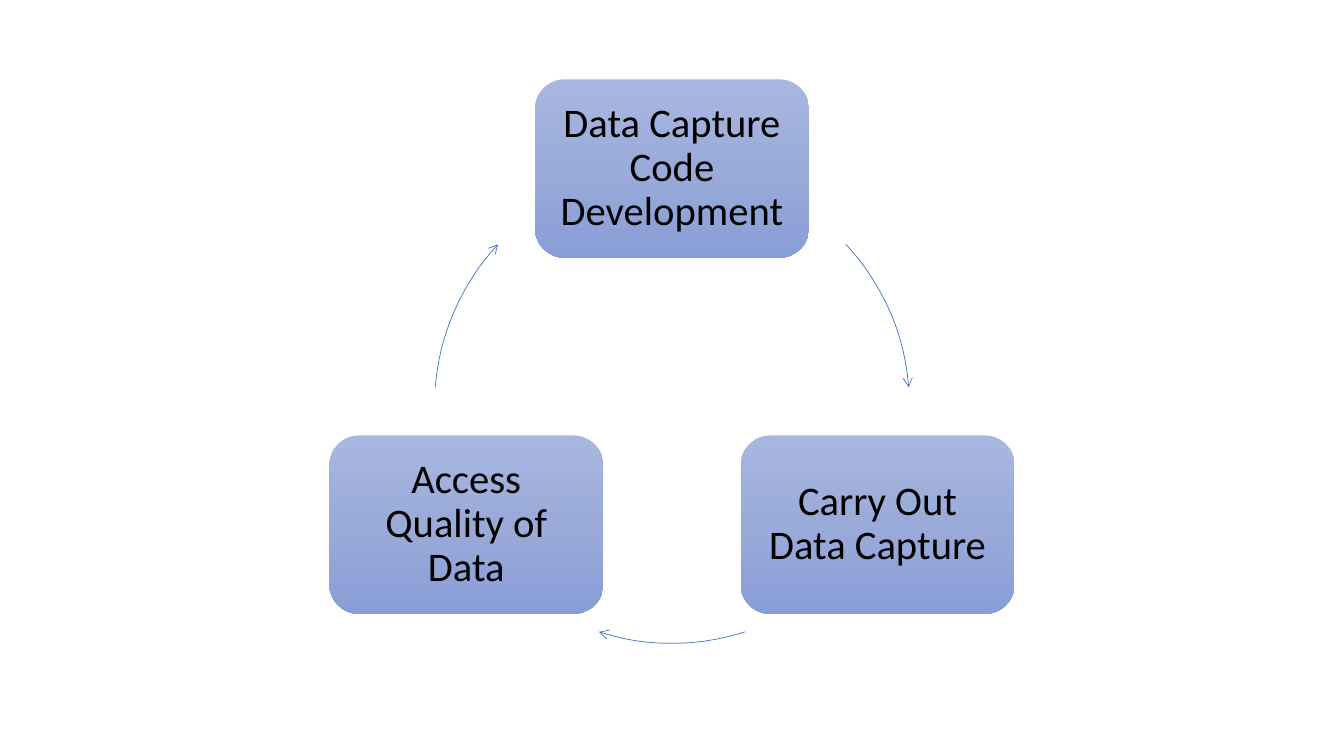
"""Build a slide with a three-step data capture cycle."""
from copy import deepcopy
from dataclasses import dataclass
from math import cos, radians, sin

from lxml.etree import SubElement
from pptx import Presentation
from pptx.dml.color import RGBColor
from pptx.enum.shapes import MSO_SHAPE
from pptx.enum.text import MSO_ANCHOR, PP_ALIGN
from pptx.oxml.ns import qn
from pptx.slide import Slide
from pptx.util import Inches, Pt

COLORS = {"top": "A8B7DF", "middle": "9AABD9", "bottom": "889ED7",
          "arrow": "4472C4", "text": "000000"}
WIDTH, HEIGHT = Inches(13.33), Inches(7.5)
CENTER_X, CENTER_Y = 0.5 * WIDTH, 0.537 * HEIGHT
RADIUS = 0.314 * HEIGHT
NODE_W, NODE_H = 0.204 * WIDTH, 0.236 * HEIGHT
INSET = Inches(0.12)
FRAME_FORMAT = {"word_wrap": True, "vertical_anchor": MSO_ANCHOR.MIDDLE,
                "margin_left": INSET, "margin_right": INSET,
                "margin_top": INSET, "margin_bottom": INSET}
PARAGRAPH_FORMAT = {"alignment": PP_ALIGN.CENTER, "line_spacing": 0.9}
FONT_FORMAT = {"name": "Calibri", "size": Pt(29)}


@dataclass(frozen=True)
class Step:
    """A step at an angle, with the arc that leads to the next one."""
    text: str
    angle: float
    arc_start: float
    arc_end: float


STEPS = [
    Step("Data Capture Code Development", 270, 317.1, 355.5),
    Step("Carry Out Data Capture", 30, 72.1, 107.9),
    Step("Access Quality of Data", 150, 184.5, 222.9),
]


def apply_format(target: object, values: dict) -> None:
    """Set each attribute in values on the target."""
    for name, value in values.items():
        setattr(target, name, value)


def rgb(name: str) -> RGBColor:
    """Return the named colour."""
    return RGBColor.from_string(COLORS[name])


def add_node(s: Slide, step: Step) -> None:
    """Draw one step as a rounded box on the ring."""
    x = CENTER_X + RADIUS * cos(radians(step.angle))
    y = CENTER_Y + RADIUS * sin(radians(step.angle))
    sp = s.shapes.add_shape(MSO_SHAPE.ROUNDED_RECTANGLE,
                            round(x - NODE_W / 2), round(y - NODE_H / 2),
                            round(NODE_W), round(NODE_H))
    sp.shadow.inherit = False
    sp.line.fill.background()
    sp.fill.gradient()
    sp.fill.gradient_angle = 270
    stops = next(sp._element.spPr.iter(qn("a:gsLst")))
    stops.insert(1, deepcopy(stops[0]))
    for stop, name, position in zip(sp.fill.gradient_stops,
                                    ("top", "middle", "bottom"), (0, 0.5, 1)):
        stop.color.rgb = rgb(name)
        stop.position = position
    tf = sp.text_frame
    apply_format(tf, FRAME_FORMAT)
    p = tf.paragraphs[0]
    apply_format(p, PARAGRAPH_FORMAT)
    r = p.add_run()
    r.text = step.text
    apply_format(r.font, FONT_FORMAT)
    r.font.color.rgb = rgb("text")


def add_arc(s: Slide, step: Step) -> None:
    """Draw the curved arrow to the next step."""
    sp = s.shapes.add_shape(MSO_SHAPE.ARC,
                            round(CENTER_X - RADIUS), round(CENTER_Y - RADIUS),
                            round(2 * RADIUS), round(2 * RADIUS))
    for i, angle in enumerate((step.arc_start, step.arc_end)):
        sp.adjustments[i] = angle * 0.6
    sp.shadow.inherit = False
    sp.fill.background()
    sp.line.color.rgb = rgb("arrow")
    sp.line.width = Pt(0.5)
    SubElement(sp.line._get_or_add_ln(), qn("a:tailEnd"), type="arrow")


def main() -> None:
    """Build and save the presentation."""
    prs = Presentation()
    prs.slide_width, prs.slide_height = WIDTH, HEIGHT
    s = prs.slides.add_slide(prs.slide_layouts[6])
    for step in STEPS:
        add_node(s, step)
        add_arc(s, step)
    prs.save("out.pptx")


if __name__ == "__main__":
    main()
